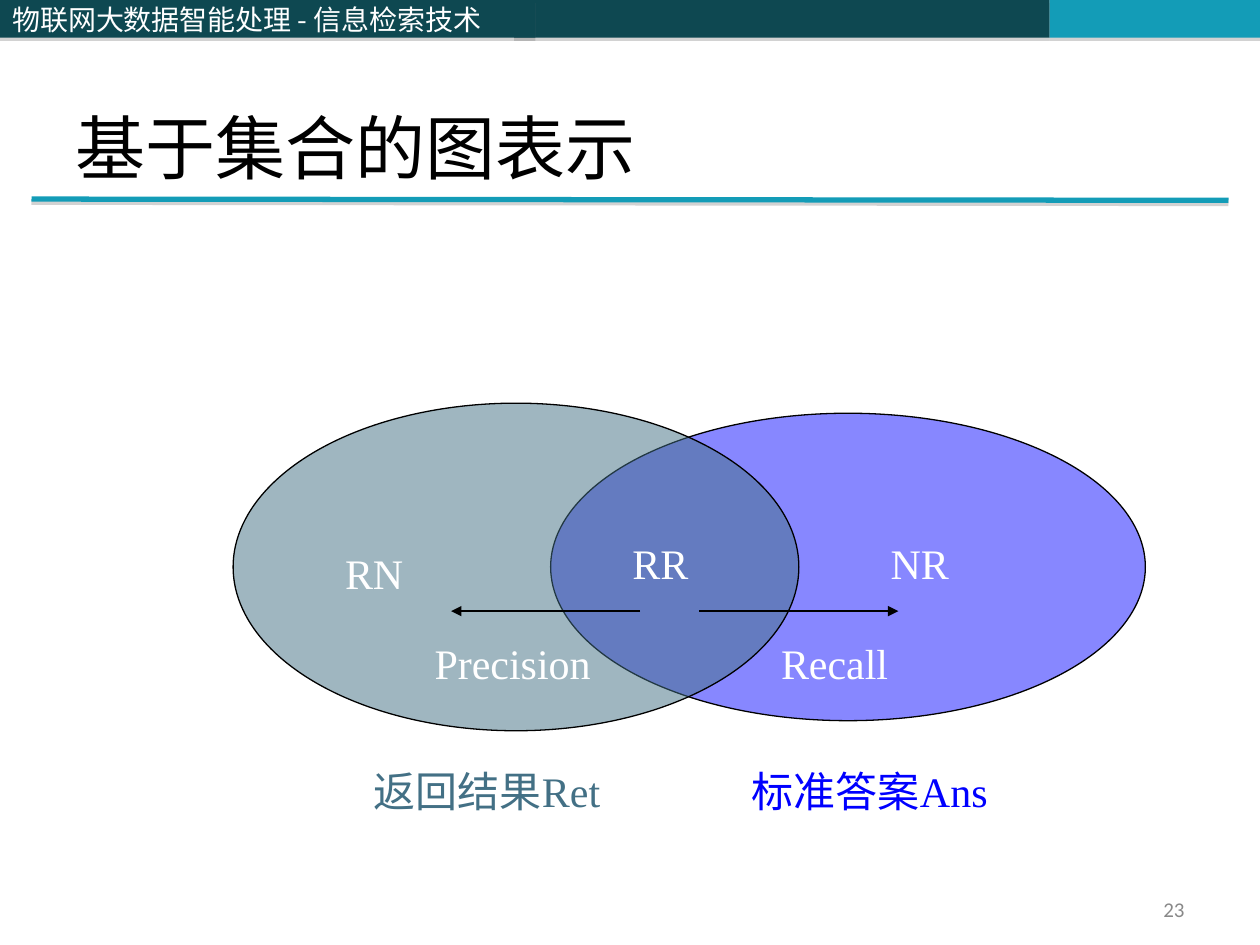
from lxml import etree
from pptx import Presentation
from pptx.dml.color import RGBColor
from pptx.enum.shapes import MSO_CONNECTOR, MSO_SHAPE
from pptx.enum.text import MSO_ANCHOR, PP_ALIGN
from pptx.oxml import parse_xml
from pptx.oxml.ns import nsdecls, qn
from pptx.util import Inches, Pt

RECT, OVAL = MSO_SHAPE.RECTANGLE, MSO_SHAPE.OVAL
LINE = MSO_CONNECTOR.STRAIGHT
TOP, MID, LOW = MSO_ANCHOR.TOP, MSO_ANCHOR.MIDDLE, MSO_ANCHOR.BOTTOM
LEFT, RIGHT = PP_ALIGN.LEFT, PP_ALIGN.RIGHT
DARK = RGBColor(0x0E, 0x48, 0x51)
TEAL = RGBColor(0x13, 0x9C, 0xB7)
SLATE = RGBColor(0x43, 0x70, 0x85)
BLUE = RGBColor(0x00, 0x00, 0xFF)
GRAY = RGBColor(0x89, 0x89, 0x89)
BLACK = RGBColor(0x00, 0x00, 0x00)
WHITE = RGBColor(0xFF, 0xFF, 0xFF)
SERIF, SANS, HAN = "Times New Roman", "Calibri", "Noto Sans CJK SC"


def write(shape, text, size, color, font=SERIF, align=LEFT, anchor=TOP):
    frame = shape.text_frame
    frame.word_wrap = True
    frame.vertical_anchor = anchor
    para = frame.paragraphs[0]
    para.alignment = align
    run = para.add_run()
    run.text = text
    form = {"size": Pt(size), "name": font}
    for key, value in form.items():
        setattr(run.font, key, value)
    run.font.color.rgb = color
    east = etree.SubElement(run.font._element, qn("a:ea"))
    east.set("typeface", HAN)


def shade(shape):
    props = shape._element.spPr
    for old in props.findall(qn("a:effectLst")):
        props.remove(old)
    props.append(parse_xml(
        f'<a:effectLst {nsdecls("a")}>'
        '<a:outerShdw blurRad="0" dist="22860" dir="5400000" rotWithShape="0">'
        '<a:srgbClr val="808080"><a:alpha val="35000"/></a:srgbClr>'
        '</a:outerShdw></a:effectLst>'))


deck = Presentation()
deck.slide_width, deck.slide_height = Inches(10), Inches(7.5)
slide = deck.slides.add_slide(deck.slide_layouts[5])
shapes = slide.shapes

bars = [(4.08, 4.25, DARK), (8.33, 1.67, TEAL), (0, 4.25, DARK)]
for left, width, color in bars:
    bar = shapes.add_shape(RECT, Inches(left), 0, Inches(width), Inches(0.3))
    bar.fill.solid()
    bar.fill.fore_color.rgb = color
    bar.line.fill.background()
    shade(bar)
write(bar, "物联网大数据智能处理 - 信息检索技术", 16, WHITE, HAN, anchor=MID)

rule = shapes.add_connector(LINE, Inches(0.25), Inches(1.58),
                            Inches(9.75), Inches(1.59))
rule.line.color.rgb = TEAL
rule.line.width = Pt(3)
shade(rule)

title = shapes.title
place = {"left": 0.5, "top": 0.3, "width": 9, "height": 1.25}
for key, value in place.items():
    setattr(title, key, Inches(value))
write(title, "基于集合的图表示", 40, BLACK, anchor=LOW)

page = shapes.add_textbox(Inches(7.17), Inches(7.08),
                          Inches(2.33), Inches(0.27))
write(page, "23", 12, GRAY, SANS, RIGHT, MID)

sets = [
    (4.37, 3.28, 4.72, 2.44, BLUE, 47),
    (1.85, 3.2, 4.49, 2.6, SLATE, 51),
]
for *box, color, alpha in sets:
    oval = shapes.add_shape(OVAL, *map(Inches, box))
    oval.shadow.inherit = False
    oval.fill.solid()
    oval.fill.fore_color.rgb = color
    tint = oval._element.spPr.find(qn("a:solidFill"))[0]
    etree.SubElement(tint, qn("a:alpha")).set("val", str(alpha * 1000))
    oval.line.color.rgb = BLACK
    oval.line.width = Pt(0.75)

labels = [
    ("RR", 4.92, 4.22, 1.02, WHITE),
    ("标准答案Ans", 5.87, 6.03, 2.84, BLUE),
    ("返回结果Ret", 2.87, 6.03, 2.84, SLATE),
    ("RN", 2.64, 4.3, 1.73, WHITE),
    ("NR", 6.97, 4.22, 1.73, WHITE),
    ("Precision", 3.35, 5.01, 2.05, WHITE),
    ("Recall", 6.1, 5.01, 2.05, WHITE),
]
for text, left, top, width, color in labels:
    label = shapes.add_textbox(Inches(left), Inches(top),
                               Inches(width), Inches(0.5))
    write(label, text, 24, color)

for start, end in [(5.08, 3.58), (5.55, 7.13)]:
    arrow = shapes.add_connector(LINE, Inches(start), Inches(4.85),
                                 Inches(end), Inches(4.85))
    arrow.line.color.rgb = BLACK
    arrow.line.width = Pt(0.75)
    head = etree.SubElement(arrow.line._get_or_add_ln(), qn("a:tailEnd"))
    head.set("type", "triangle")
    etree.SubElement(arrow._element.spPr, qn("a:effectLst"))

deck.save("out.pptx")
